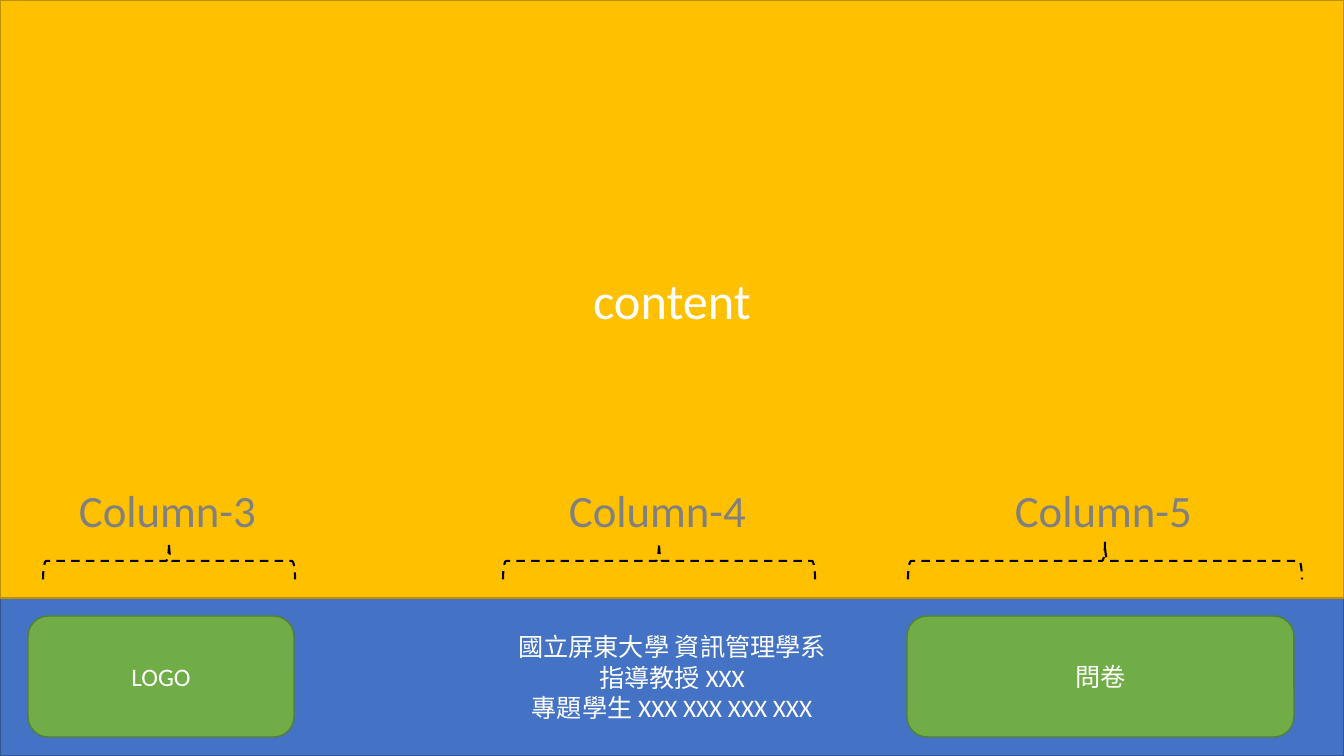
import pptx
import pptx.util
import pptx.dml.color
import pptx.enum.dml
import pptx.enum.shapes
import pptx.enum.text

SHAPE = pptx.enum.shapes.MSO_SHAPE
ALIGN = pptx.enum.text.PP_ALIGN

# Content: lengths in px
W, H = 1344, 756
SPLIT = 598  # where the content area meets the footer
COLORS = {
    "blue": "4472C4", "blue_line": "325491",
    "gold": "FFC000", "gold_line": "BD8E00",
    "green": "70AD47", "green_line": "538035",
    "white": "FFFFFF", "gray": "808080", "black": "000000",
}
FOOTER_LINES = [
    "國立屏東大學 資訊管理學系",
    "指導教授 XXX",
    "專題學生 XXX XXX XXX XXX",
]
# preset, (left, top, width, height), colour, text size, lines
BLOCKS = [
    (SHAPE.RECTANGLE, (0, SPLIT, W, H - SPLIT), "blue", 18, FOOTER_LINES),
    (SHAPE.RECTANGLE, (0, 0, W, SPLIT), "gold", 36, ["content"]),
    (SHAPE.ROUNDED_RECTANGLE, (28, 616, 266, 121), "green", 18, ["LOGO"]),
    (SHAPE.ROUNDED_RECTANGLE, (907, 616, 387, 121), "green", 18, ["問卷"]),
]
# label, centre x, brace span
COLUMNS = [("Column-3", 169, 252), ("Column-4", 659, 312), ("Column-5", 1105, 394)]
BRACE_Y, BRACE_DEPTH = 561, 37
LABEL_TOP, LABEL_W, LABEL_H = 478, 200, 65

SCALE = 12192000 / W


def px(*lengths):
    return [round(n * SCALE) for n in lengths]


def rgb(name):
    return pptx.dml.color.RGBColor.from_string(COLORS[name])


def write(tf, lines, size, color, align, **frame):
    for name, value in frame.items():
        setattr(tf, name, value)
    for i, line in enumerate(lines):
        p = tf.paragraphs[0] if i == 0 else tf.add_paragraph()
        p.alignment = align
        r = p.add_run()
        r.text = line
        fmt = {"name": "Calibri", "size": pptx.util.Pt(size)}
        for name, value in fmt.items():
            setattr(r.font, name, value)
        r.font.color.rgb = rgb(color)


def add_outlined(slide, preset, box, line, width):
    sp = slide.shapes.add_shape(preset, *px(*box))
    sp.shadow.inherit = False
    sp.line.color.rgb = rgb(line)
    sp.line.width = pptx.util.Pt(width)
    return sp


def main():
    prs = pptx.Presentation()
    prs.slide_width, prs.slide_height = px(W, H)
    slide = prs.slides.add_slide(prs.slide_layouts[6])

    # Filled areas and buttons
    for preset, box, color, size, lines in BLOCKS:
        sp = add_outlined(slide, preset, box, color + "_line", 1)
        sp.fill.solid()
        sp.fill.fore_color.rgb = rgb(color)
        write(sp.text_frame, lines, size, "white", ALIGN.CENTER, word_wrap=True,
              vertical_anchor=pptx.enum.text.MSO_ANCHOR.MIDDLE)

    # Column braces, each with its label centred above
    for label, cx, span in COLUMNS:
        box = (cx - BRACE_DEPTH / 2, BRACE_Y - span / 2, BRACE_DEPTH, span)
        sp = add_outlined(slide, SHAPE.LEFT_BRACE, box, "black", 1.5)
        sp.fill.background()
        sp.line.dash_style = pptx.enum.dml.MSO_LINE.DASH
        sp.rotation = 90

        tb = slide.shapes.add_textbox(*px(cx - LABEL_W / 2, LABEL_TOP, LABEL_W, LABEL_H))
        write(tb.text_frame, [label], 32, "gray", ALIGN.LEFT, word_wrap=False,
              auto_size=pptx.enum.text.MSO_AUTO_SIZE.SHAPE_TO_FIT_TEXT)

    prs.save("out.pptx")


if __name__ == "__main__":
    main()
